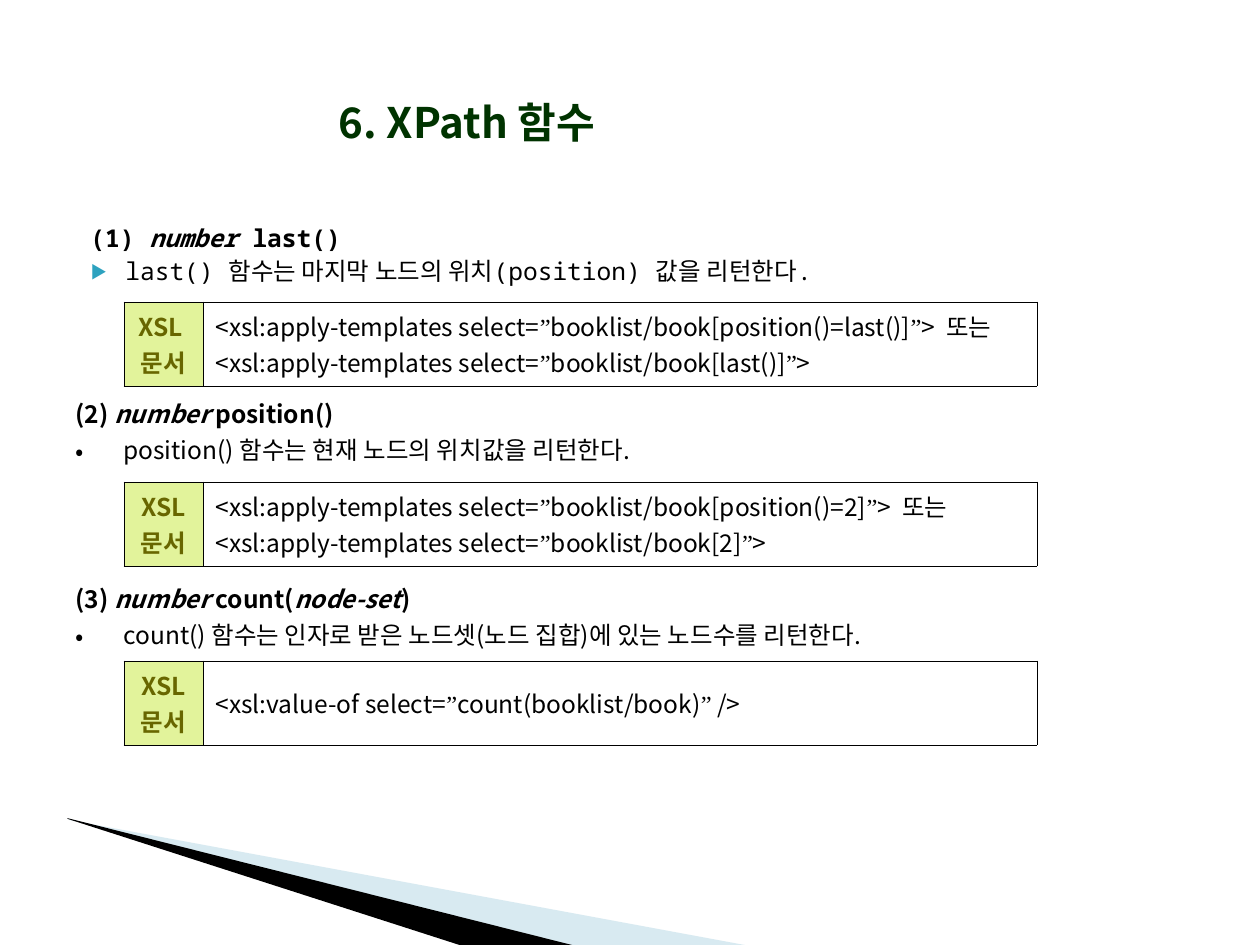
from dataclasses import dataclass

from lxml import etree
from pptx import Presentation
from pptx.dml.color import RGBColor as Rgb
from pptx.enum.text import MSO_ANCHOR as Anchor, PP_ALIGN as Align
from pptx.oxml.ns import qn
from pptx.util import Pt

PX = 914400 // 126


@dataclass(frozen=True)
class Theme:
    sans: str = "Noto Sans CJK KR"
    mono: str = "Noto Sans Mono"
    serif: str = "Times New Roman"
    ink: str = "000000"
    title: str = "003300"
    label: str = "686600"
    label_fill: str = "E2F39B"
    accent: str = "2DA2BF"
    swoosh: str = "9FCBDC"
    paper: str = "FFFFFF"
    title_size: int = 24
    body_size: int = 14
    border: float = 0.45


THEME = Theme()


def px(*lengths):
    return [length * PX for length in lengths]


def add_child(parent, tag, **attributes):
    return etree.SubElement(parent, qn(tag), attributes)


def style(para, color=THEME.ink, size=THEME.body_size, bold=False, face=THEME.sans):
    font = para.font
    font.name, font.size, font.bold = face, Pt(size), bold
    font.color.rgb = Rgb.from_string(color)
    add_child(font._element, "a:ea", typeface=THEME.sans)


def indent(para, margin, hanging):
    properties = para._p.get_or_add_pPr()
    properties.set("marL", str(margin * PX))
    properties.set("indent", str(-hanging * PX))
    return properties


def add_bullet(properties, mark, color, percent):
    holder = add_child(properties, "a:buClr")
    add_child(holder, "a:srgbClr", val=color)
    add_child(properties, "a:buSzPct", val=str(percent * 1000))
    add_child(properties, "a:buFont", typeface=THEME.sans)
    add_child(properties, "a:buChar", char=mark)


def add_text_box(page, box):
    frame = page.shapes.add_textbox(*px(*box)).text_frame
    frame.word_wrap = True
    return frame


def add_title(page, box, text):
    frame = add_text_box(page, box)
    frame.vertical_anchor = Anchor.MIDDLE
    para = frame.paragraphs[0]
    para.text = text
    para.alignment = Align.CENTER
    style(para, THEME.title, THEME.title_size, True)


def add_function(page, box, heading, note, face=THEME.sans, margin=48, hanging=48,
                 mark="•", mark_color=THEME.ink, percent=100, leading=1.0, gap=3.5):
    frame = add_text_box(page, box)
    head, detail = frame.paragraphs[0], frame.add_paragraph()
    for place, text in enumerate(heading):
        span = head.add_run()
        span.text = text
        if place % 2:
            span.font.italic = True
    detail.text = note
    detail.space_before = Pt(gap)
    for para in (head, detail):
        para.line_spacing = leading
        properties = indent(para, margin, hanging)
        if para is detail:
            add_bullet(properties, mark, mark_color, percent)
        style(para, bold=para is head, face=face)


def add_borders(cell):
    properties = cell._tc.get_or_add_tcPr()
    for place, side in enumerate(("a:lnL", "a:lnR", "a:lnT", "a:lnB")):
        line = etree.Element(qn(side), w=str(int(Pt(THEME.border))))
        add_child(add_child(line, "a:solidFill"), "a:srgbClr", val=THEME.ink)
        properties.insert(place, line)


def write_code(para, code):
    for place, part in enumerate(code.split("”")):
        if place:
            quote = para.add_run()
            quote.text = "”"
            quote.font.name = THEME.serif
            add_child(quote.font._element, "a:ea", typeface=THEME.serif)
        para.add_run().text = part
    style(para)


def add_code_table(page, box, label, code_lines):
    table = page.shapes.add_table(1, 2, *px(*box)).table
    table.first_row = table.horz_banding = False
    label_width = 79
    table.columns[0].width, table.columns[1].width = px(label_width, box[2] - label_width)
    label_cell, code_cell = table.cell(0, 0), table.cell(0, 1)
    for cell, color in ((label_cell, THEME.label_fill), (code_cell, THEME.paper)):
        cell.vertical_anchor = Anchor.MIDDLE
        cell.fill.solid()
        cell.fill.fore_color.rgb = Rgb.from_string(color)
        add_borders(cell)
    label_cell.text = label
    for para in label_cell.text_frame.paragraphs:
        para.alignment = Align.CENTER
        style(para, THEME.label, bold=True)
    frame = code_cell.text_frame
    for place, code in enumerate(code_lines):
        write_code(frame.add_paragraph() if place else frame.paragraphs[0], code)


def add_wedge(page, box, points, color, opacity=100):
    left, top = box
    corners = [(left + across, top + down) for across, down in points]
    builder = page.shapes.build_freeform(*corners[0], scale=PX)
    builder.add_line_segments(corners[1:], close=True)
    wedge = builder.convert_to_shape()
    wedge.shadow.inherit = False
    wedge.line.fill.background()
    wedge.fill.solid()
    wedge.fill.fore_color.rgb = Rgb.from_string(color)
    if opacity < 100:
        for node in wedge._element.spPr.iter(qn("a:srgbClr")):
            add_child(node, "a:alpha", val=str(opacity * 1000))


def add_swoosh(page, box):
    add_wedge(page, box, [(2, 2), (683, 128), (508, 128), (2, 1)], THEME.swoosh, 40)
    add_wedge(page, box, [(0, 0), (509, 128), (402, 130), (1, 1)], THEME.ink)


def main():
    deck = Presentation()
    deck.slide_width, deck.slide_height = px(1260, 945)
    page = deck.slides.add_slide(deck.slide_layouts[6])
    add_swoosh(page, (67, 818))
    add_title(page, (213, 43, 508, 157), "6. XPath 함수")
    add_function(page, (63, 220, 1133, 73), ["(1) ", "number", " last()"],
                 "last() 함수는 마지막 노드의 위치(position) 값을 리턴한다.",
                 face=THEME.mono, margin=50, hanging=35, mark="▶",
                 mark_color=THEME.accent, percent=68, leading=0.9, gap=4)
    add_function(page, (63, 393, 1143, 83), ["(2) ", "number", " position()"],
                 "position() 함수는 현재 노드의 위치값을 리턴한다.")
    add_function(page, (63, 578, 1143, 83), ["(3) ", "number", " count(", "node-set", ")"],
                 "count() 함수는 인자로 받은 노드셋(노드 집합)에 있는 노드수를 리턴한다.")
    apply = "<xsl:apply-templates select=”booklist/book"
    examples = [
        (302, "XSL \n문서", [apply + "[position()=last()]”>  또는", apply + "[last()]”>"]),
        (482, "XSL\n문서", [apply + "[position()=2]”>  또는", apply + "[2]”>"]),
        (661, "XSL\n문서", ["<xsl:value-of select=”count(booklist/book)” />"]),
    ]
    for top, label, code_lines in examples:
        add_code_table(page, (124, top, 913, 84), label, code_lines)
    deck.save("out.pptx")


if __name__ == "__main__":
    main()
